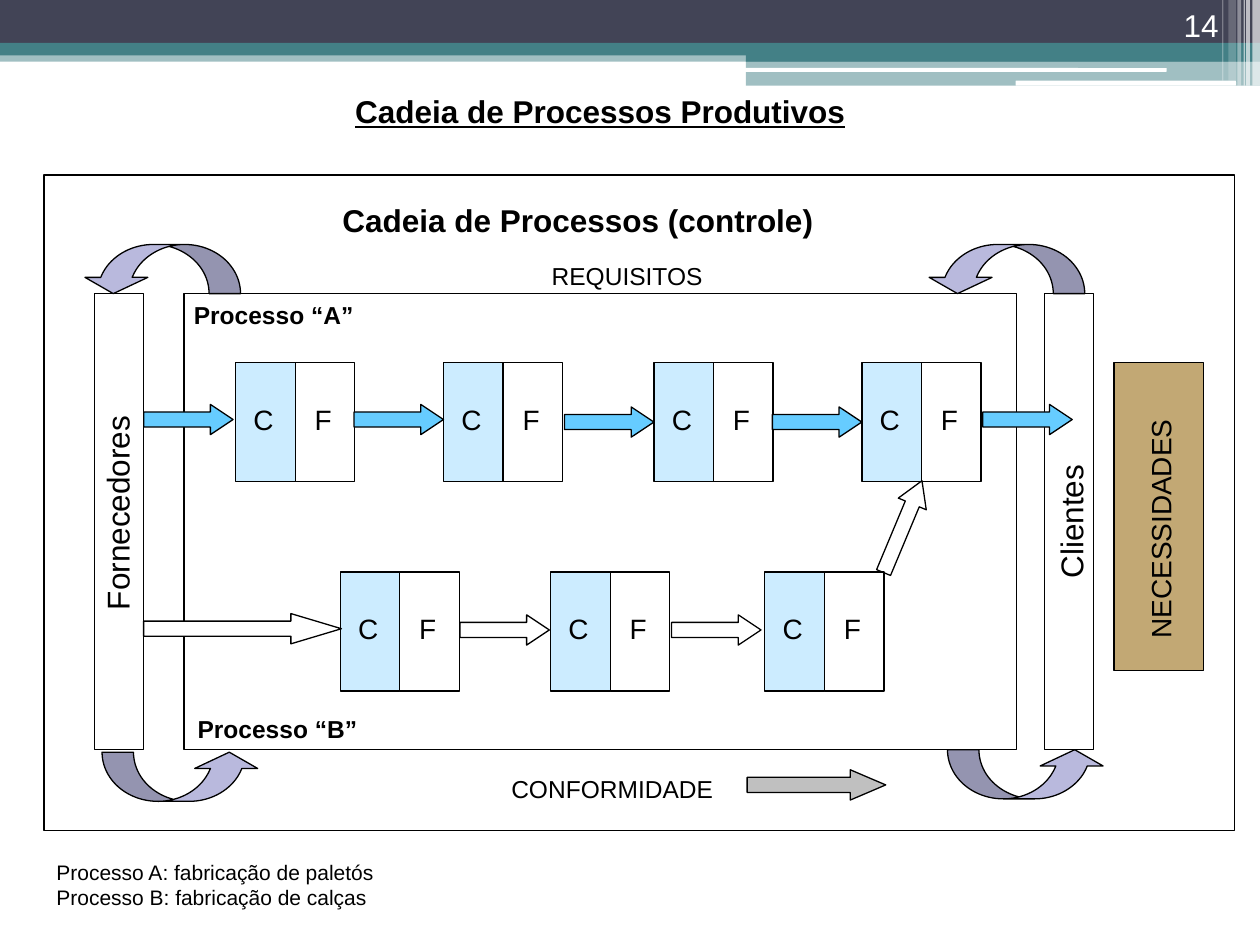
from pptx import Presentation
from pptx.dml.color import RGBColor
from pptx.enum.shapes import MSO_SHAPE as Shape
from pptx.enum.text import MSO_ANCHOR as Anchor, MSO_AUTO_SIZE as AutoSize, PP_ALIGN as Align
from pptx.oxml.ns import qn
from pptx.util import Inches, Pt
from lxml.etree import SubElement

SLIDE_WIDTH, SLIDE_HEIGHT = Inches(10), Inches(7.5)
COLUMN, ROW = SLIDE_WIDTH / 100, SLIDE_HEIGHT / 75

BLACK = RGBColor(0x00, 0x00, 0x00)
WHITE = RGBColor(0xFF, 0xFF, 0xFF)
SLATE = RGBColor(0x42, 0x44, 0x56)
TEAL = RGBColor(0x43, 0x80, 0x86)
TAN = RGBColor(0xC2, 0xA8, 0x74)
PALE_BLUE = RGBColor(0xCC, 0xEC, 0xFF)
SKY_BLUE = RGBColor(0x66, 0xCC, 0xFF)
LILAC = RGBColor(0xB9, 0xB9, 0xDD)
GRAY = RGBColor(0xC0, 0xC0, 0xC0)

CELL_WIDTH, CELL_HEIGHT = 4.73, 9.45
ARROW_HEIGHT = 2.4
ROW_A, ROW_B = 28.8, 45.4


def area(left, top, width, height):
    return [round(length) for length in
            (left * COLUMN, top * ROW, width * COLUMN, height * ROW)]


def add_figure(slide, kind, box, fill=None, outlined=True, adjustments=()):
    shape = slide.shapes.add_shape(kind, *area(*box))
    shape.shadow.inherit = False
    for index, value in enumerate(adjustments):
        shape.adjustments[index] = value
    if fill is None:
        shape.fill.background()
    else:
        shape.fill.solid()
        shape.fill.fore_color.rgb = fill
    if outlined:
        shape.line.color.rgb = BLACK
        shape.line.width = Pt(0.75)
    else:
        shape.line.fill.background()
    return shape


def add_band(slide, box, color, opacity=100, kind=Shape.RECTANGLE):
    band = add_figure(slide, kind, box, color, outlined=False)
    if opacity < 100:
        color_element = band._element.spPr.find(qn("a:solidFill"))[0]
        SubElement(color_element, qn("a:alpha"), val=str(opacity * 1000))


def style_paragraph(paragraph, size, color=BLACK, bold=False, underline=False):
    font = paragraph.font
    font.name = "Arial"
    font.size = Pt(size)
    font.color.rgb = color
    font.bold = bold
    font.underline = underline


def add_label(slide, box, lines, size, rotation=0, wrap=False, **style):
    label = slide.shapes.add_textbox(*area(*box))
    label.rotation = rotation
    frame = label.text_frame
    frame.word_wrap = wrap
    frame.auto_size = AutoSize.NONE if wrap else AutoSize.SHAPE_TO_FIT_TEXT
    frame.text = lines
    for paragraph in frame.paragraphs:
        style_paragraph(paragraph, size, **style)
    return label


def add_stage(slide, left, top):
    for index, (letter, fill) in enumerate((("C", PALE_BLUE), ("F", None))):
        box = (left + index * CELL_WIDTH, top, CELL_WIDTH, CELL_HEIGHT)
        cell = add_figure(slide, Shape.RECTANGLE, box, fill)
        frame = cell.text_frame
        frame.margin_left = 0
        frame.margin_right = Inches(0.03)
        frame.margin_bottom = Inches(0.1)
        frame.vertical_anchor = Anchor.MIDDLE
        frame.text = letter
        paragraph = frame.paragraphs[0]
        paragraph.alignment = Align.CENTER
        style_paragraph(paragraph, 16)


def add_arrow(slide, left, top, width=7.1, fill=None, head=0.75, rotation=0):
    box = (left, top, width, ARROW_HEIGHT)
    arrow = add_figure(slide, Shape.RIGHT_ARROW, box, fill, adjustments=(0.5, head))
    arrow.rotation = rotation


def add_return_arrow(slide, left, top, rotation=0):
    arrow = add_figure(slide, Shape.CURVED_DOWN_ARROW, (left, top, 12.6, 3.9),
                       LILAC, adjustments=(0.64, 1.28, 0.33))
    arrow._element.spPr.find(qn("a:xfrm")).set("flipH", "1")
    arrow.rotation = rotation


def add_header(slide):
    for box, color, opacity in (
        ((0, 4, 100, 0.9), TEAL, 50),
        ((0, 0, 100, 3.4), SLATE, 100),
        ((0, 3.4, 100, 1), TEAL, 100),
        ((59.2, 3.9, 40.8, 1), TEAL, 100),
        ((59.2, 4.8, 40.8, 2), TEAL, 50),
    ):
        add_band(slide, box, color, opacity)
    for box in ((59.1, 5.4, 33.5, 0.3), (80.6, 6.4, 17.5, 0.4)):
        add_band(slide, box, WHITE, kind=Shape.ROUNDED_RECTANGLE)
    for left, width, height, opacity in (
        (99.4, 0.6, 6.8, 65), (98.9, 0.3, 6.8, 65), (98.7, 0.1, 6.8, 60),
        (98.2, 0.3, 6.8, 40), (97.5, 0.6, 6.4, 20), (97, 0.1, 6.4, 30),
    ):
        add_band(slide, (left, 0, width, height), WHITE, opacity)
    number = add_label(slide, (89.4, 0, 8.3, 4), "14", 18, wrap=True, color=WHITE)
    number.text_frame.vertical_anchor = Anchor.BOTTOM
    number.text_frame.paragraphs[0].alignment = Align.RIGHT


def add_frames(slide):
    for box in ((3.5, 13.9, 94.5, 52), (14.6, 23.3, 66.1, 36.2),
                (7.5, 23.3, 3.9, 36.2), (82.9, 23.3, 3.9, 36.2)):
        add_figure(slide, Shape.RECTANGLE, box)
    add_figure(slide, Shape.RECTANGLE, (88.4, 28.8, 7.1, 24.4), TAN)


def add_processes(slide):
    for left in (18.7, 35.2, 51.9, 68.4):
        add_stage(slide, left, ROW_A)
    for left in (27, 43.7, 60.7):
        add_stage(slide, left, ROW_B)
    for left, top in ((11.4, 32.1), (28.1, 32.1), (44.8, 32.3),
                      (61.3, 32.3), (78, 32.1)):
        add_arrow(slide, left, top, fill=SKY_BLUE)
    add_arrow(slide, 11.4, 48.7, 15.7, WHITE, head=1.67)
    for left in (36.5, 53.3):
        add_arrow(slide, left, 48.8)
    add_arrow(slide, 67.7, 40.6, 7.9, head=0.83, rotation=292.7)
    add_arrow(slide, 59.3, 61.1, 11, GRAY, head=1.17)
    for left, top, rotation in ((6.5, 19.4, 0), (73.5, 19.4, 0),
                                (8.1, 59.7, 180), (75.2, 59.5, 180)):
        add_return_arrow(slide, left, top, rotation)


def add_labels(slide):
    add_label(slide, (27.2, 6.8, 40.9, 4), "Cadeia de Processos Produtivos", 18,
              bold=True, underline=True)
    add_label(slide, (26.2, 15.5, 39.4, 4), "Cadeia de Processos (controle)", 18,
              bold=True)
    add_label(slide, (42.8, 20.2, 14, 3.4), "REQUISITOS", 14)
    add_label(slide, (39.6, 60.9, 18, 3.4), "CONFORMIDADE", 14)
    add_label(slide, (14.4, 23.3, 14.7, 3.4), "Processo “A”", 14, bold=True)
    add_label(slide, (14.7, 56.2, 14.7, 3.4), "Processo “B”", 14, bold=True)
    add_label(slide, (0.6, 38.7, 17.4, 4), "Fornecedores", 18, rotation=270)
    add_label(slide, (79.5, 39.4, 11, 4), "Clientes", 18, rotation=270)
    add_label(slide, (82.1, 39.8, 20, 3.7), "NECESSIDADES", 16, rotation=270)
    add_label(slide, (3.5, 67.7, 27.3, 5),
              "Processo A: fabricação de paletós\nProcesso B: fabricação de calças", 12)


def main():
    presentation = Presentation()
    presentation.slide_width, presentation.slide_height = SLIDE_WIDTH, SLIDE_HEIGHT
    slide = presentation.slides.add_slide(presentation.slide_layouts[6])
    add_header(slide)
    add_frames(slide)
    add_processes(slide)
    add_labels(slide)
    presentation.save("out.pptx")


if __name__ == "__main__":
    main()
